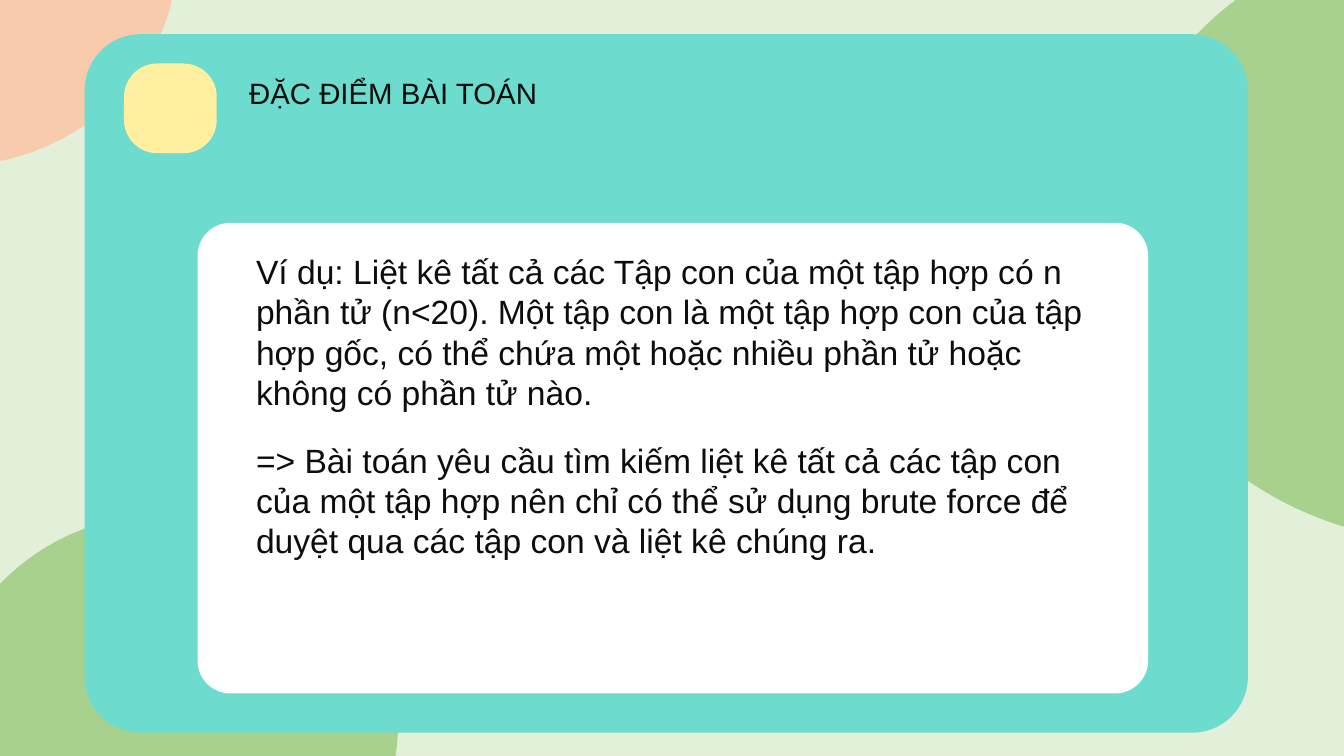
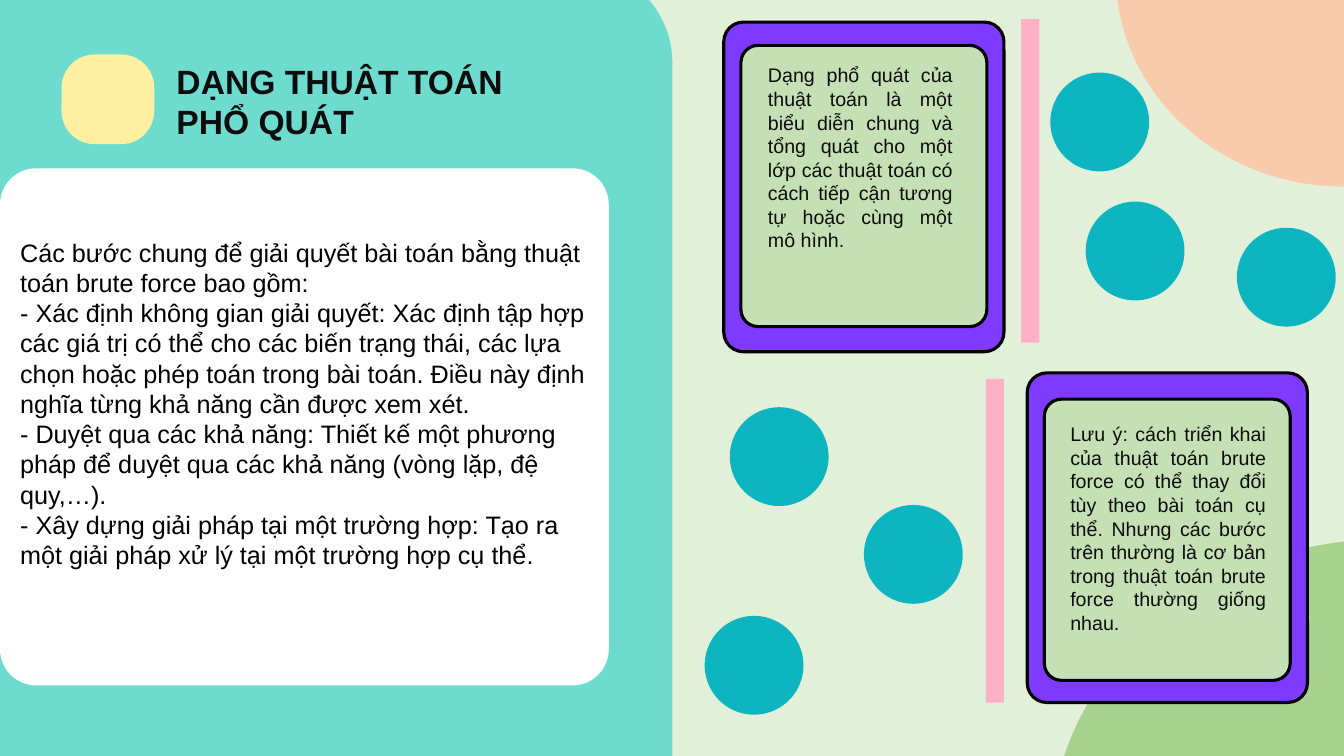
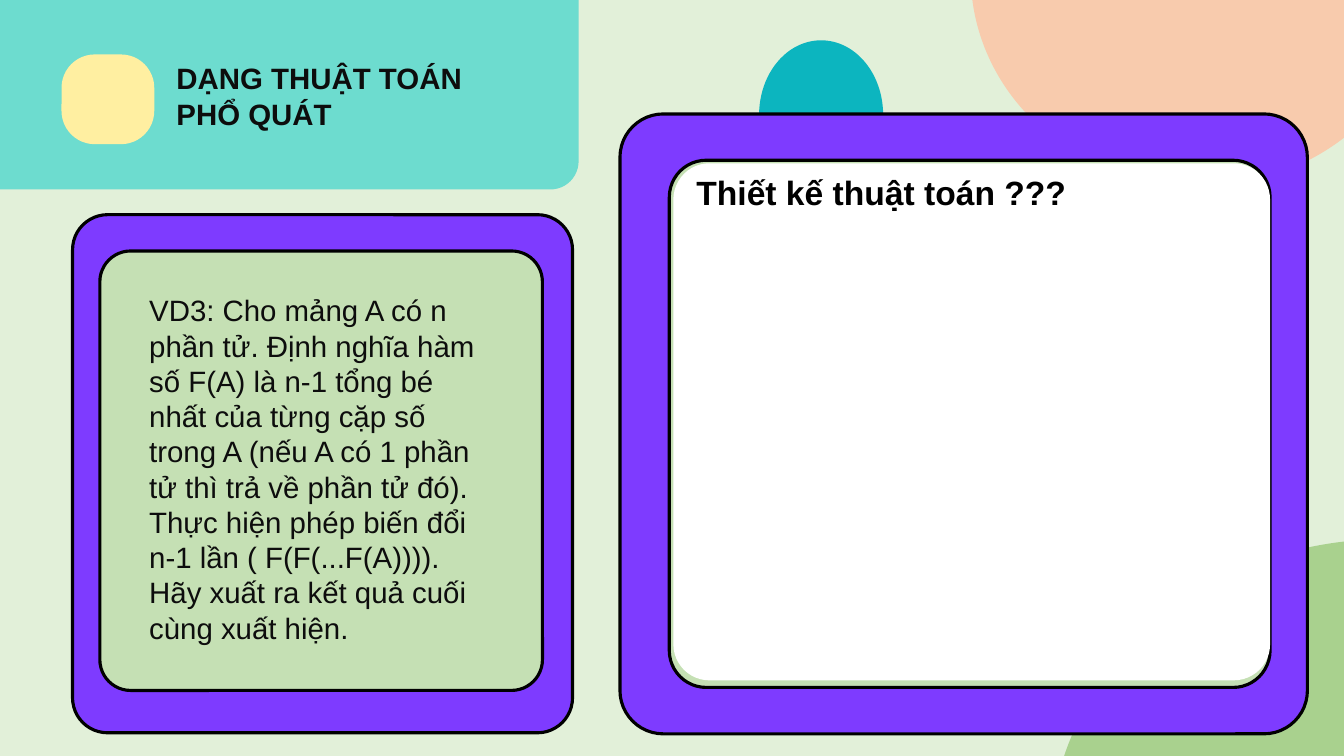
from dataclasses import dataclass
from typing import NamedTuple

from lxml import etree
from pptx import Presentation
from pptx import util as u
from pptx.dml.color import RGBColor
from pptx.enum import shapes, text
from pptx.oxml.ns import qn

WIDTH, HEIGHT = u.Inches(13.33), u.Inches(7.5)
FONT = "Arial"
COLORS = {
    "page": "E2F0D9", "peach": "F8CBAD", "leaf": "A9D18E", "teal": "6DDCCF",
    "badge": "FFEFA1", "white": "FFFFFF", "purple": "7E3BFF", "sage": "C5E0B4",
    "pink": "FEB0C7", "dot": "0CB5BF", "black": "000000", "ink": "0D0D0D",
}
OVAL = shapes.MSO_SHAPE.OVAL
RECT = shapes.MSO_SHAPE.RECTANGLE
ROUND = shapes.MSO_SHAPE.ROUNDED_RECTANGLE


class Box(NamedTuple):
    """Left and width in percent of the slide width, top and height of its height."""
    x: float
    y: float
    w: float
    h: float

    def emu(self) -> tuple[int, int, int, int]:
        return (round(self.x * WIDTH / 100), round(self.y * HEIGHT / 100),
                round(self.w * WIDTH / 100), round(self.h * HEIGHT / 100))


@dataclass
class Block:
    """A shape without text."""
    box: Box
    color: str
    kind: shapes.MSO_SHAPE = ROUND
    radius: float = 0.07
    outlined: bool = False


@dataclass
class Style:
    size: int
    color: str = "ink"
    bold: bool = False
    justified: bool = False
    gap: float = 0


def rgb(name: str) -> RGBColor:
    return RGBColor.from_string(COLORS[name])


def peach_oval(x: float, y: float) -> Block:
    return Block(Box(x, y, 33.9, 56), "peach", OVAL)


def leaf_oval(x: float, y: float) -> Block:
    return Block(Box(x, y, 50.03, 81.07), "leaf", OVAL)


def badge(x: float, y: float) -> Block:
    return Block(Box(x, y, 6.9, 11.87), "badge", radius=0.37)


def bar(x: float, y: float) -> Block:
    return Block(Box(x, y, 1.35, 42.8), "pink", RECT)


def dot(x: float, y: float) -> Block:
    return Block(Box(x, y, 7.35, 13.07), "dot", OVAL)


def framed_card(outer: Box, inner: Box) -> list[Block]:
    return [Block(outer, "purple", outlined=True),
            Block(inner, "sage", outlined=True)]


def draw(slide, blocks: list[Block]) -> None:
    for block in blocks:
        sp = slide.shapes.add_shape(block.kind, *block.box.emu())
        if block.kind == ROUND:
            sp.adjustments[0] = block.radius
        sp.shadow.inherit = False
        sp.fill.solid()
        sp.fill.fore_color.rgb = rgb(block.color)
        if block.outlined:
            sp.line.color.rgb = rgb("black")
            sp.line.width = u.Pt(2.25)
        else:
            sp.line.fill.background()


def write(sp, paragraphs: list[str], style: Style) -> None:
    tf = sp.text_frame
    tf.word_wrap = True
    tf.auto_size = text.MSO_AUTO_SIZE.NONE
    tf.vertical_anchor = text.MSO_ANCHOR.TOP
    for i, words in enumerate(paragraphs):
        p = tf.add_paragraph() if i else tf.paragraphs[0]
        p.alignment = text.PP_ALIGN.JUSTIFY if style.justified else text.PP_ALIGN.LEFT
        p.line_spacing = 1.0
        p.space_before = u.Pt(style.gap if i else 0)
        p.space_after = u.Pt(0)
        r = p.add_run()
        r.text = words
        r.font.name = FONT
        r.font.size = u.Pt(style.size)
        r.font.bold = style.bold
        r.font.color.rgb = rgb(style.color)


def fill_placeholder(slide, idx: int, box: Box, paragraphs: list[str], style: Style) -> None:
    """Move a placeholder to its box, in front of the shapes, and write in it."""
    sp = slide.placeholders[idx]
    slide.shapes.element.append(sp.element)
    sp.left, sp.top, sp.width, sp.height = box.emu()
    write(sp, paragraphs, style)
    for p in sp.text_frame.paragraphs:
        props = p._p.get_or_add_pPr()
        props.set("marL", "0")
        props.set("indent", "0")
        etree.SubElement(props, qn("a:buNone"))


def add_title(slide, box: Box, words: str, style: Style) -> None:
    fill_placeholder(slide, 0, box, [words], style)


def add_body(slide, box: Box, paragraphs: list[str], style: Style) -> None:
    fill_placeholder(slide, 1, box, paragraphs, style)


def add_text(slide, box: Box, words: str, style: Style) -> None:
    write(slide.shapes.add_textbox(*box.emu()), [words], style)


def new_slide(prs):
    return prs.slides.add_slide(prs.slide_layouts[1])


def problem_slide(prs) -> None:
    s = new_slide(prs)
    draw(s, [
        peach_oval(-20.7, -34),
        leaf_oval(82.88, -9.33),
        Block(Box(-4.28, 67.87, 33.9, 55.87), "leaf", OVAL),
        Block(Box(6.3, 4.53, 86.55, 92.4), "teal", radius=0.08),
        badge(9.23, 8.4),
        Block(Box(14.7, 29.47, 70.73, 62.27), "white"),
    ])
    add_title(s, Box(17.78, 9.33, 23.7, 6), "ĐẶC ĐIỂM BÀI TOÁN", Style(21))
    add_body(s, Box(18.3, 32.53, 64.58, 42.53), [
        "Ví dụ: Liệt kê tất cả các Tập con của một tập hợp có n phần tử (n<20). "
        "Một tập con là một tập hợp con của tập hợp gốc, có thể chứa một hoặc "
        "nhiều phần tử hoặc không có phần tử nào.",
        "=> Bài toán yêu cầu tìm kiếm liệt kê tất cả các tập con của một tập hợp "
        "nên chỉ có thể sử dụng brute force để duyệt qua các tập con và liệt kê "
        "chúng ra.",
    ], Style(24, gap=19.5))


def steps_slide(prs) -> None:
    s = new_slide(prs)
    draw(s, [
        Block(Box(-4.8, -4.4, 54.83, 120.93), "teal", radius=0.13),
        Block(Box(0, 22.27, 45.3, 68.4), "white"),
        peach_oval(83.03, -31.33),
        leaf_oval(78.08, 71.33),
        badge(4.58, 7.2),
        *framed_card(Box(53.85, 2.93, 20.85, 43.6), Box(55.13, 6, 18.3, 37.2)),
        *framed_card(Box(76.43, 49.33, 20.85, 43.6), Box(77.7, 52.8, 18.3, 37.2)),
        bar(73.35, 50.13),
        bar(75.98, 2.53),
        dot(54.3, 53.87), dot(64.28, 66.8), dot(52.43, 81.47),
        dot(78.15, 9.6), dot(92.03, 30.13), dot(80.78, 26.67),
    ])
    add_title(s, Box(12.38, 7.33, 27.98, 12.13), "DẠNG THUẬT TOÁN PHỔ QUÁT",
              Style(24, bold=True))
    note = Style(14, justified=True)
    add_text(s, Box(56.4, 7.73, 15.23, 26.53),
             "Dạng phổ quát của thuật toán là một biểu diễn chung và tổng quát cho "
             "một lớp các thuật toán có cách tiếp cận tương tự hoặc cùng một mô hình.",
             note)
    add_text(s, Box(78.9, 55.2, 16.05, 29.6),
             "Lưu ý: cách triển khai của thuật toán brute force có thể thay đổi tùy "
             "theo bài toán cụ thể. Nhưng các bước trên thường là cơ bản trong thuật "
             "toán brute force thường giống nhau.", note)
    add_body(s, Box(0.75, 30.67, 44.33, 45.73), [
        "Các bước chung để giải quyết bài toán bằng thuật toán brute force bao gồm:",
        "- Xác định không gian giải quyết: Xác định tập hợp các giá trị có thể cho "
        "các biến trạng thái, các lựa chọn hoặc phép toán trong bài toán. Điều này "
        "định nghĩa từng khả năng cần được xem xét.",
        "- Duyệt qua các khả năng: Thiết kế một phương pháp để duyệt qua các khả "
        "năng (vòng lặp, đệ quy,…).",
        "- Xây dựng giải pháp tại một trường hợp: Tạo ra một giải pháp xử lý tại "
        "một trường hợp cụ thể.",
    ], Style(18, "black"))


def example_slide(prs) -> None:
    s = new_slide(prs)
    draw(s, [
        peach_oval(72.23, -31.33),
        leaf_oval(78.08, 71.33),
        Block(Box(-4.8, -3.6, 47.85, 28.67), "teal", radius=0.13),
        badge(4.58, 7.2),
        *framed_card(Box(5.4, 28.4, 37.2, 68.53), Box(7.43, 33.2, 32.93, 58.13)),
        Block(Box(56.48, 5.33, 9.23, 19.73), "dot", OVAL),
        *framed_card(Box(46.13, 15.07, 51.15, 82), Box(49.8, 21.2, 44.7, 69.73)),
        Block(Box(50.1, 21.6, 44.4, 68.4), "white"),
    ])
    add_title(s, Box(12.38, 7.33, 25.05, 10.8), "DẠNG THUẬT TOÁN PHỔ QUÁT",
              Style(21, bold=True))
    add_body(s, Box(10.35, 38, 25.95, 48.53), [
        "VD3: Cho mảng A có n phần tử. Định nghĩa hàm số F(A) là n-1 tổng bé nhất "
        "của từng cặp số trong A (nếu A có 1 phần tử thì trả về phần tử đó). Thực "
        "hiện phép biến đổi n-1 lần ( F(F(...F(A)))). Hãy xuất ra kết quả cuối "
        "cùng xuất hiện.",
    ], Style(21))
    add_text(s, Box(51.08, 22.13, 43.43, 9.87), "Thiết kế thuật toán ???",
             Style(24, "black", bold=True))


def main() -> None:
    prs = Presentation()
    prs.slide_width, prs.slide_height = WIDTH, HEIGHT
    page = prs.slide_master.background.fill
    page.solid()
    page.fore_color.rgb = rgb("page")
    problem_slide(prs)
    steps_slide(prs)
    example_slide(prs)
    prs.save("out.pptx")


if __name__ == "__main__":
    main()
